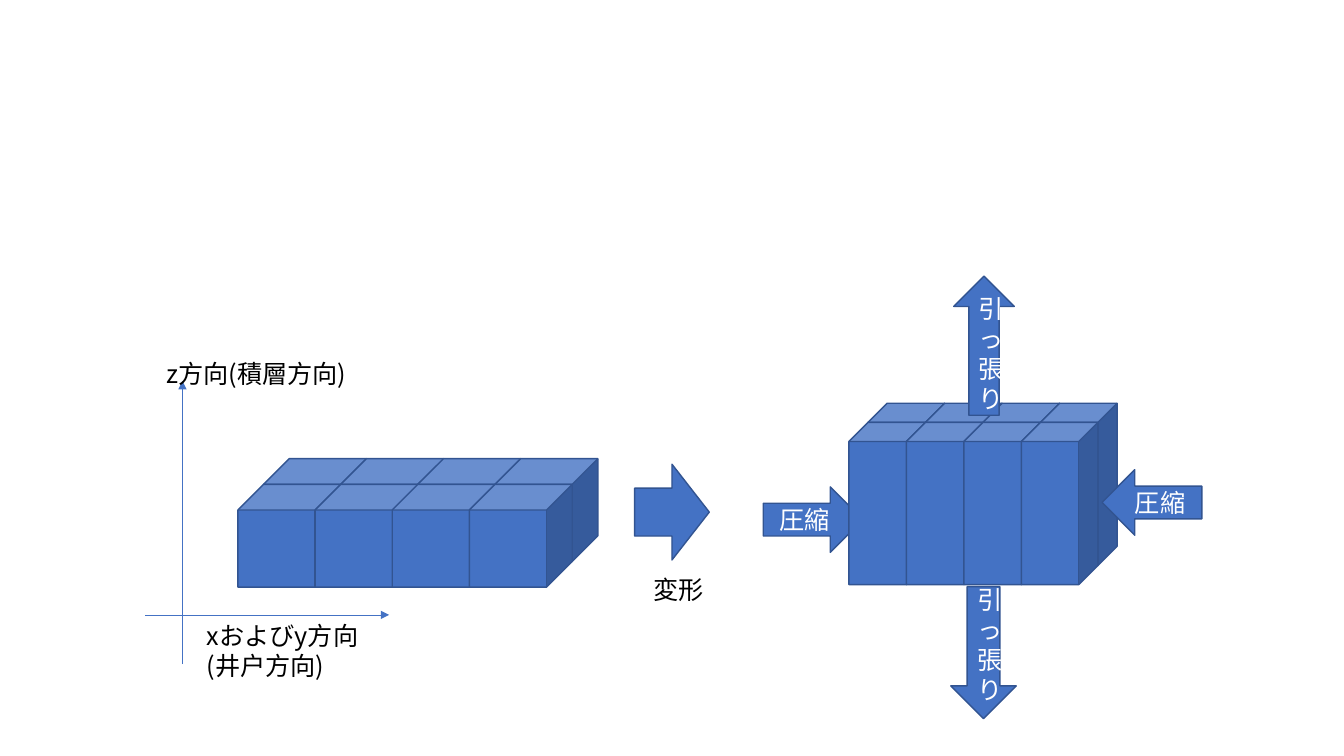
from lxml import etree
from pptx import Presentation
from pptx.dml.color import RGBColor
from pptx.enum.shapes import MSO_CONNECTOR as Connector, MSO_SHAPE as Shape
from pptx.enum.text import MSO_ANCHOR as Anchor, MSO_AUTO_SIZE as AutoSize, PP_ALIGN as Align
from pptx.oxml.ns import qn
from pptx.util import Inches, Pt

FONT = "Noto Sans CJK JP"
BLUE, OUTLINE, WHITE, BLACK = "4472C4", "325491", "FFFFFF", "000000"
CUBE_DEPTH = 0.25  # default depth of a cube as a share of its shorter side


def color(value):
    return RGBColor.from_string(value)


def write(shape, text, text_color, align, anchor):
    frame = shape.text_frame
    frame.word_wrap = True
    frame.vertical_anchor = anchor
    paragraph = frame.paragraphs[0]
    paragraph.alignment = align
    run = paragraph.add_run()
    run.text = text
    run.font.color.rgb = color(text_color)
    for name, value in {"size": Pt(18), "name": FONT}.items():
        setattr(run.font, name, value)
    etree.SubElement(run.font._element, qn("a:ea")).set("typeface", FONT)


def add_block(shapes, kind, box, text=None):
    shape = shapes.add_shape(kind, *map(Inches, box))
    shape.shadow.inherit = False
    shape.fill.solid()
    shape.fill.fore_color.rgb = color(BLUE)
    shape.line.color.rgb = color(OUTLINE)
    shape.line.width = Pt(1)
    if text:
        write(shape, text, WHITE, Align.CENTER, Anchor.MIDDLE)
    return shape


def add_label(shapes, text, box):
    label = shapes.add_textbox(*map(Inches, box))
    write(label, text, BLACK, Align.LEFT, Anchor.TOP)
    label.text_frame.auto_size = AutoSize.SHAPE_TO_FIT_TEXT


def add_axis(shapes, start, end):
    axis = shapes.add_connector(Connector.STRAIGHT, *map(Inches, start + end))
    axis.line.color.rgb = color(BLUE)
    axis.line.width = Pt(0.5)
    etree.SubElement(axis.line._get_or_add_ln(), qn("a:tailEnd")).set("type", "triangle")
    etree.SubElement(axis._element.spPr, qn("a:effectLst"))


def add_cube_stack(shapes, left, top, width, height, columns=4):
    """Back row first, then the front row, each cube touching the next."""
    depth = CUBE_DEPTH * min(width, height)
    for row_left, row_top in ((left + depth, top), (left, top + depth)):
        for column in range(columns):
            cube_left = row_left + column * (width - depth)
            add_block(shapes, Shape.CUBE, (cube_left, row_top, width, height))


def add_axes(shapes, left, top, width, height):
    origin_x, origin_y = left + 0.37, top + 2.59
    add_axis(shapes, (origin_x, top + height), (origin_x, top + 0.27))
    add_axis(shapes, (left, origin_y), (left + width, origin_y))
    add_label(shapes, "z方向(積層方向)", (left + 0.11, top, 2.84, 0.4))
    add_label(shapes, "xおよびy方向(井戸方向)", (left + 0.51, origin_y, 1.86, 0.71))


def add_deformation(shapes, left, top):
    arrow = add_block(shapes, Shape.DOWN_ARROW, (left, top, 0.95, 0.74))
    arrow.rotation = 270
    add_label(shapes, "変形", (left + 0.19, top + 0.94, 1.7, 0.4))


def main():
    presentation = Presentation()
    presentation.slide_width, presentation.slide_height = Inches(13.33), Inches(7.5)
    slide = presentation.slides.add_slide(presentation.slide_layouts[6])
    shapes = slide.shapes

    # Lower pull, behind the deformed stack
    add_block(shapes, Shape.DOWN_ARROW, (9.43, 5.82, 0.65, 1.31), "引っ張り")

    # Stack before deformation, with its axes
    add_cube_stack(shapes, 2.36, 4.55, 1.02, 1.02)
    add_deformation(shapes, 6.19, 4.71)
    add_axes(shapes.add_group_shape().shapes, 1.44, 3.51, 2.42, 3.08)

    # Deformed stack between the forces
    add_block(shapes, Shape.RIGHT_ARROW, (7.57, 4.83, 0.99, 0.65), "圧縮")
    add_cube_stack(shapes.add_group_shape().shapes, 8.42, 4, 0.76, 1.61)
    add_block(shapes, Shape.LEFT_ARROW, (10.93, 4.66, 0.99, 0.65), "圧縮")
    add_block(shapes, Shape.UP_ARROW, (9.46, 2.74, 0.6, 1.38), "引っ張り")

    presentation.save("out.pptx")


if __name__ == "__main__":
    main()
